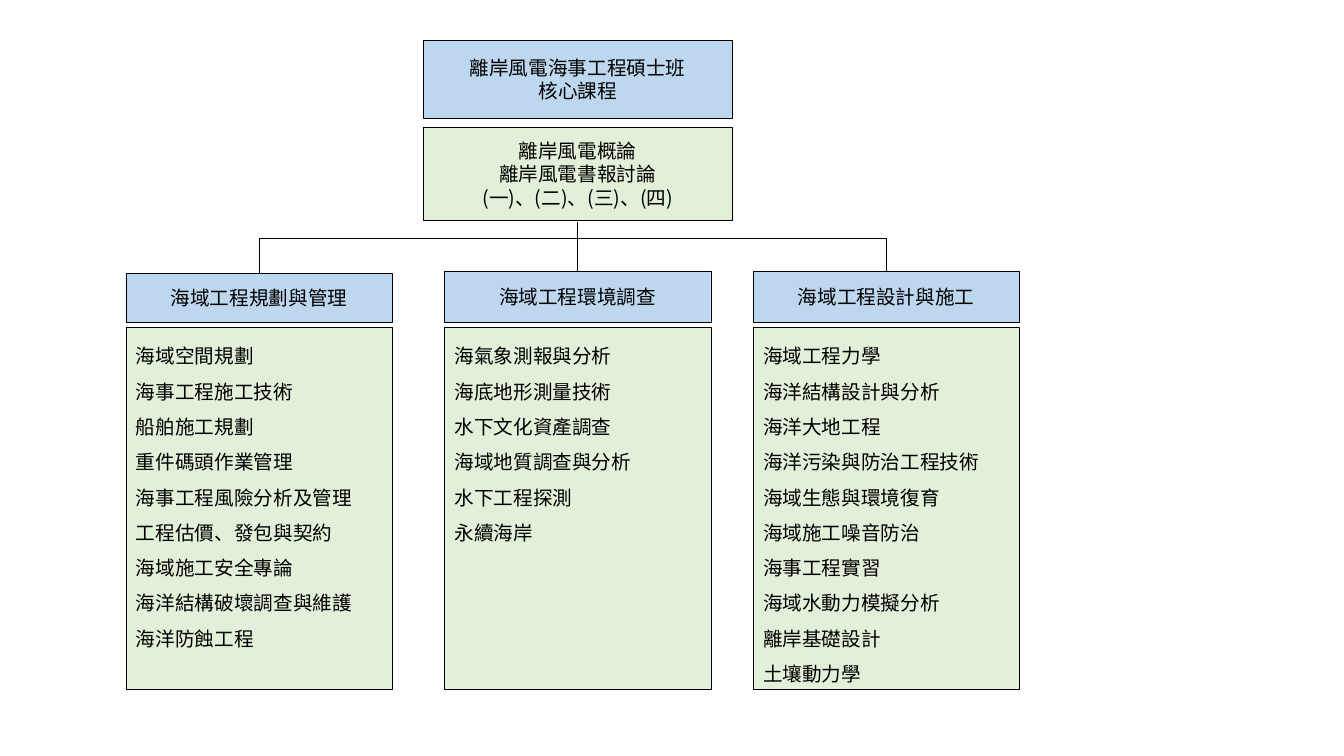
from lxml import etree
from pptx import Presentation
from pptx.dml.color import RGBColor
from pptx.enum.shapes import MSO_CONNECTOR, MSO_SHAPE
from pptx.enum.text import MSO_ANCHOR, PP_ALIGN
from pptx.oxml.ns import qn
from pptx.util import Inches, Pt

RECTANGLE = MSO_SHAPE.RECTANGLE
STRAIGHT, ELBOW = MSO_CONNECTOR.STRAIGHT, MSO_CONNECTOR.ELBOW
TOP, MIDDLE = MSO_ANCHOR.TOP, MSO_ANCHOR.MIDDLE
LEFT, CENTER = PP_ALIGN.LEFT, PP_ALIGN.CENTER

COLORS = {"heading": "BDD7EE", "courses": "E2F0D9", "ink": "000000"}
FONT = {"name": "Noto Sans CJK SC", "size": Pt(14)}
CENTERED = {"alignment": CENTER}
LISTED = {"alignment": LEFT, "line_spacing": 1.5}

CORE_TITLE = ["離岸風電海事工程碩士班", "核心課程"]
CORE_COURSES = ["離岸風電概論", "離岸風電書報討論", "(一)、(二)、(三)、(四)"]
FIELD_WIDTH = 2.64
FIELDS = [
    (1.25, 2.71, "海域工程規劃與管理", [
        "海域空間規劃", "海事工程施工技術", "船舶施工規劃",
        "重件碼頭作業管理", "海事工程風險分析及管理", "工程估價、發包與契約",
        "海域施工安全專論", "海洋結構破壞調查與維護", "海洋防蝕工程"]),
    (4.41, 2.69, "海域工程環境調查", [
        "海氣象測報與分析", "海底地形測量技術", "水下文化資產調查",
        "海域地質調查與分析", "水下工程探測", "永續海岸"]),
    (7.47, 2.69, "海域工程設計與施工", [
        "海域工程力學", "海洋結構設計與分析", "海洋大地工程",
        "海洋污染與防治工程技術", "海域生態與環境復育", "海域施工噪音防治",
        "海事工程實習", "海域水動力模擬分析", "離岸基礎設計", "土壤動力學"]),
]


def color(name):
    """Return the named colour."""
    return RGBColor.from_string(COLORS[name])


def apply(target, values):
    """Set each attribute in values on the target."""
    for attribute, value in values.items():
        setattr(target, attribute, value)


def add_box(slide, area, fill, lines, layout, anchor=MIDDLE):
    """Add a bordered box with one paragraph for each line of text."""
    box = slide.shapes.add_shape(RECTANGLE, *map(Inches, area))
    box.shadow.inherit = False
    box.fill.solid()
    box.fill.fore_color.rgb = color(fill)
    box.line.color.rgb = color("ink")
    box.line.width = Pt(0.25)
    frame = box.text_frame
    apply(frame, {"word_wrap": True, "vertical_anchor": anchor})
    for index, line in enumerate(lines):
        paragraph = frame.add_paragraph() if index else frame.paragraphs[0]
        apply(paragraph, layout)
        run = paragraph.add_run()
        run.text = line
        apply(run.font, FONT)
        run.font.color.rgb = color("ink")


def add_link(slide, kind, start, end):
    """Add a thin connector without a shadow."""
    link = slide.shapes.add_connector(kind, *map(Inches, start + end))
    link.line.color.rgb = color("ink")
    link.line.width = Pt(0.5)
    etree.SubElement(link._element.spPr, qn("a:effectLst"))
    return link


def add_bracket(slide, start, end, crossbar):
    """Join two headings by an elbow that rises to the crossbar height."""
    (left, low), (right, high) = start, end
    middle_x, middle_y = (left + right) / 2, (low + high) / 2
    half_rise, half_span = (low - high) / 2, (right - left) / 2
    bracket = add_link(slide, ELBOW,
                       (middle_x + half_rise, middle_y + half_span),
                       (middle_x - half_rise, middle_y - half_span))
    properties = bracket._element.spPr
    properties.find(qn("a:xfrm")).set("rot", "5400000")
    adjustments = properties.find(qn("a:prstGeom")).get_or_add_avLst()
    bend = round((low - crossbar) / (low - high) * 100000)
    etree.SubElement(adjustments, qn("a:gd"), name="adj1", fmla=f"val {bend}")


def main():
    """Build the course structure slide."""
    presentation = Presentation()
    apply(presentation, {"slide_width": Inches(13.33), "slide_height": Inches(7.5)})
    slide = presentation.slides.add_slide(presentation.slide_layouts[6])

    add_box(slide, (4.2, 0.4, 3.06, 0.77), "heading", CORE_TITLE, CENTERED)
    add_box(slide, (4.2, 1.26, 3.06, 0.93), "courses", CORE_COURSES, CENTERED)
    add_link(slide, STRAIGHT, (5.73, 2.2), (5.73, 2.69))
    tops = [(left + FIELD_WIDTH / 2, top) for left, top, _, _ in FIELDS]
    add_bracket(slide, tops[0], tops[-1], 2.37)

    for left, top, heading, courses in FIELDS:
        add_box(slide, (left, top, FIELD_WIDTH, 3.2 - top), "heading",
                [heading], CENTERED)
        add_box(slide, (left, 3.25, FIELD_WIDTH, 3.59), "courses",
                courses, LISTED, TOP)

    presentation.save("out.pptx")


if __name__ == "__main__":
    main()
